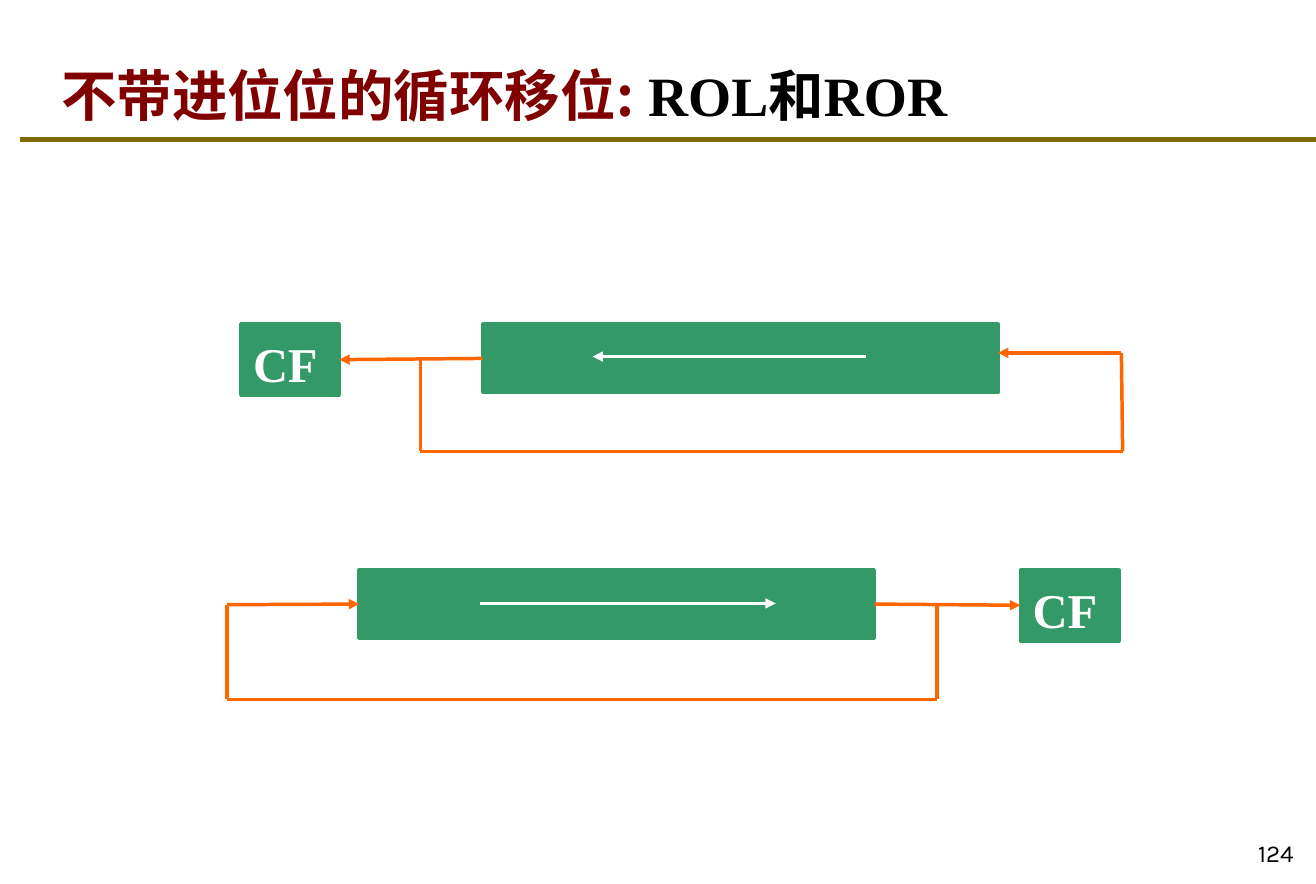
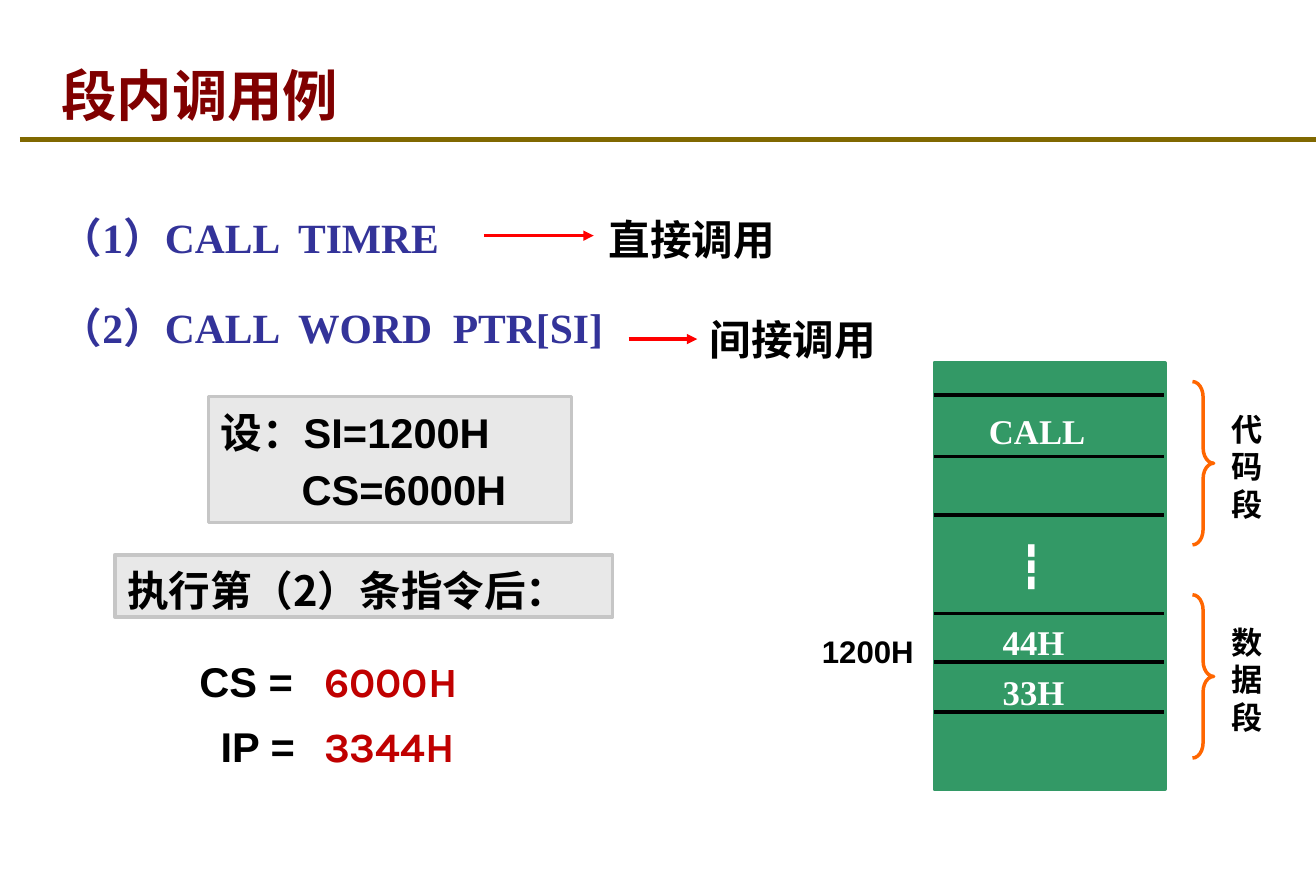
from itertools import pairwise

from pptx import Presentation
from pptx import util as u
from pptx.dml import color
from pptx.enum import shapes, text
from pptx.oxml import ns, xmlchemy

PX = 9144
CJK, SERIF, SANS, KARLA = "Noto Sans CJK SC", "Times New Roman", "Arial", "Karla"
GREEN, ORANGE, RED, BLACK, WHITE = "339966", "FF6600", "FF0000", "000000", "FFFFFF"
MAROON, OLIVE, NAVY, CRIMSON = "800000", "806800", "333399", "C00000"
PANEL, PANEL_EDGE = "E8E8E8", "C6C6C6"


def px(length):
    return u.Emu(round(length * PX))


def rgb(value):
    return color.RGBColor.from_string(value)


class Slides:
    """Holds the deck, its shared style and the slide being drawn."""

    def __init__(self, width, height):
        self.deck = Presentation()
        self.deck.slide_width, self.deck.slide_height = px(width), px(height)
        self.page = None

    def add_page(self, *title_spans):
        self.page = self.deck.slides.add_slide(self.deck.slide_layouts[5])
        title = self.page.shapes.title
        title.left, title.top, title.width, title.height = map(px, (39, 24, 899, 79))
        frame = self.frame(title, text.MSO_ANCHOR.BOTTOM, bottom=1)
        para = frame.paragraphs[0]
        para.alignment = text.PP_ALIGN.LEFT
        for content, font, ink in title_spans:
            self.style(para.add_run(), content, 32, font, ink)
        self.line((16, 112), (1055, 112), OLIVE, 3)

    def frame(self, box, anchor=text.MSO_ANCHOR.TOP, top=8, bottom=5):
        frame = box.text_frame
        frame.word_wrap = True
        frame.auto_size = text.MSO_AUTO_SIZE.NONE
        frame.vertical_anchor = anchor
        frame.margin_left = frame.margin_right = px(10)
        frame.margin_top, frame.margin_bottom = px(top), px(bottom)
        return frame

    def style(self, span, content, size, font, ink, bold=True, east=CJK):
        span.text = content
        span.font.size, span.font.bold, span.font.name = u.Pt(size), bold, font
        span.font.color.rgb = rgb(ink)
        east_font = xmlchemy.OxmlElement("a:ea")
        east_font.set("typeface", east)
        span.font._element.append(east_font)

    def fill_text(self, box, lines, size, font, ink, align=text.PP_ALIGN.LEFT,
                  spacing=None, gap=0, indent=0, anchor=text.MSO_ANCHOR.TOP, **span_style):
        frame = self.frame(box, anchor)
        if font == CJK:
            spacing = 1.2 * size
        for index, content in enumerate(lines):
            para = frame.add_paragraph() if index else frame.paragraphs[0]
            para.alignment = align
            if spacing:
                para.line_spacing = u.Pt(spacing)
            if index:
                para.space_before = u.Pt(gap)
                para._p.get_or_add_pPr().set("marL", str(px(indent)))
            self.style(para.add_run(), content, size, font, ink, **span_style)

    def label(self, place, content, size, font, ink, **options):
        box = self.page.shapes.add_textbox(*map(px, place))
        lines = [content] if isinstance(content, str) else content
        self.fill_text(box, lines, size, font, ink, **options)

    def shape(self, kind, place, fill, edge):
        box = self.page.shapes.add_shape(kind, *map(px, place))
        box.shadow.inherit = False
        if fill:
            box.fill.solid()
            box.fill.fore_color.rgb = rgb(fill)
        else:
            box.fill.background()
        box.line.color.rgb, box.line.width = rgb(edge), u.Pt(2)
        return box

    def block(self, place, fill=GREEN, edge=GREEN):
        return self.shape(shapes.MSO_SHAPE.RECTANGLE, place, fill, edge)

    def flag(self, left, top):
        box = self.block((left, top, 79, 57))
        self.fill_text(box, ["CF"], 28, SERIF, WHITE)
        return box

    def brace(self, left, top):
        brace = self.shape(shapes.MSO_SHAPE.LEFT_BRACE, (left, top, 17, 131), None, ORANGE)
        brace.rotation = 180
        brace.adjustments[0] = 0.73

    def line(self, start, end, ink, width=2, arrow=False, source=None, target=None):
        line = self.page.shapes.add_connector(
            shapes.MSO_CONNECTOR.STRAIGHT, *map(px, (*start, *end)))
        line.line.color.rgb, line.line.width = rgb(ink), u.Pt(width)
        if arrow:
            head = xmlchemy.OxmlElement("a:tailEnd")
            head.set("type", "triangle")
            line._element.spPr.find(ns.qn("a:ln")).append(head)
        line._element.spPr.append(xmlchemy.OxmlElement("a:effectLst"))
        if source:
            line.begin_connect(*source)
        if target:
            line.end_connect(*target)

    def route(self, points, ink, target=None):
        *legs, last = pairwise(points)
        for start, end in legs:
            self.line(start, end, ink)
        self.line(*last, ink, arrow=True, target=target)


def rotate_page(slides):
    slides.add_page(("不带进位位的循环移位:", CJK, MAROON), (" ROL和ROR", SERIF, BLACK))
    slides.label((983, 654, 64, 47), "124", 14, KARLA, BLACK, bold=False,
                 align=text.PP_ALIGN.RIGHT, anchor=text.MSO_ANCHOR.BOTTOM)

    register = slides.block((387, 260, 413, 55))
    flag = slides.flag(193, 260)
    slides.line((694, 286), (475, 286), WHITE, arrow=True)
    slides.line((387, 288), (272, 288), ORANGE, arrow=True,
                source=(register, 1), target=(flag, 3))
    slides.route([(337, 288), (337, 362), (900, 362), (899, 283), (800, 283)], ORANGE)

    register = slides.block((288, 457, 413, 55))
    flag = slides.flag(818, 457)
    slides.line((385, 484), (622, 484), WHITE, arrow=True)
    slides.line((701, 484), (818, 484), ORANGE, arrow=True,
                source=(register, 3), target=(flag, 1))
    slides.route([(751, 484), (751, 561), (182, 561), (182, 485), (288, 485)],
                 ORANGE, target=(register, 1))


def call_page(slides):
    slides.add_page(("段内调用例", CJK, MAROON))
    slides.label((39, 155, 516, 159), ["（1）CALL  TIMRE", "（2）CALL  WORD  PTR[SI]"],
                 24, SERIF, NAVY, spacing=34, gap=18)
    slides.label((478, 164, 202, 50), "直接调用", 24, CJK, BLACK)
    slides.label((559, 244, 202, 50), "间接调用", 24, CJK, BLACK)
    slides.line((388, 189), (476, 189), RED, arrow=True)
    slides.line((504, 272), (559, 272), RED, arrow=True)

    slides.block((749, 291, 185, 342))
    for top in (317, 366, 413, 492, 531, 571):
        slides.line((749, top), (933, top), BLACK)
    for left, top, content in ((783, 321, "CALL"), (794, 490, "44H"), (794, 530, "33H")):
        slides.label((left, top, 123, 44), content, 20, SERIF, WHITE)
    slides.label((807, 425, 62, 50), "┇", 24, SERIF, WHITE, east=SERIF)
    for top, segment in ((306, "代码段"), (477, "数据段")):
        slides.brace(956, top)
        slides.label((973, top + 15, 53, 101), segment, 18, CJK, BLACK,
                     align=text.PP_ALIGN.CENTER)
    slides.label((649, 499, 108, 40), "1200H", 18, SANS, BLACK)

    given = slides.block((167, 318, 291, 101), PANEL, PANEL_EDGE)
    slides.fill_text(given, ["设：SI=1200H", "CS=6000H"], 24, SANS, BLACK,
                     spacing=29, gap=4, indent=65)
    after = slides.block((92, 445, 399, 50), PANEL, PANEL_EDGE)
    slides.fill_text(after, ["执行第（2）条指令后："], 24, CJK, BLACK)
    for left, top, name, value in ((150, 518, "CS =", "6000H"), (167, 570, "IP =", "3344H")):
        slides.label((left, top, 133, 50), name, 24, SANS, BLACK)
        slides.label((250, top, 208, 50), value, 24, KARLA, CRIMSON)


def main():
    slides = Slides(1055, 709)
    rotate_page(slides)
    call_page(slides)
    slides.deck.save("out.pptx")


if __name__ == "__main__":
    main()
